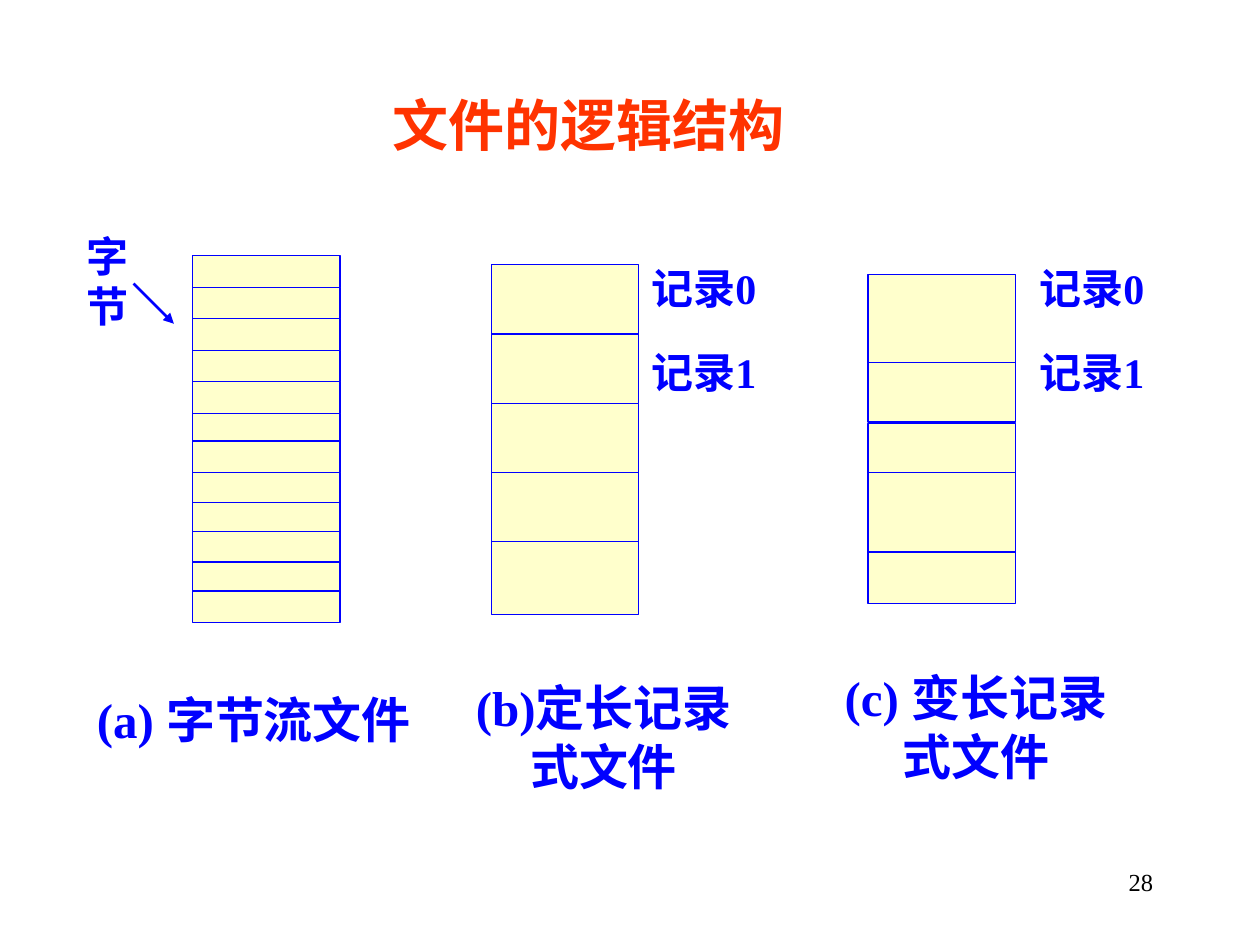
import pptx
import pptx.dml.color
import pptx.enum.shapes
import pptx.enum.text
import pptx.oxml
import pptx.oxml.ns
import pptx.util

COLORS = {"ink": "0000FF", "cell": "FFFFCC", "title": "FF3300", "number": "000000"}
COLUMNS, ROWS = 100, 75
ALIGN = pptx.enum.text.PP_ALIGN


def color(name):
    return pptx.dml.color.RGBColor.from_string(COLORS[name])


class Page:
    """Style and current slide; all lengths are grid columns and rows."""

    font_name = "Times New Roman"
    cell_width = 11.7

    def __init__(self, deck):
        self.column = deck.slide_width / COLUMNS
        self.row = deck.slide_height / ROWS
        self.shapes = deck.slides.add_slide(deck.slide_layouts[6]).shapes

    def place(self, *lengths):
        """Turn alternating columns and rows into slide units."""
        units = (self.column, self.row) * 2
        return [round(length * unit) for length, unit in zip(lengths, units)]

    def text(self, words, area, size, ink="ink", align=ALIGN.LEFT, bold=True, inset=True, grow=True):
        box = self.shapes.add_textbox(*self.place(*area))
        frame = box.text_frame
        fit = pptx.enum.text.MSO_AUTO_SIZE
        margin_x, margin_y = self.place(1, 0.5) if inset else (0, 0)
        frame_format = {
            "word_wrap": True,
            "auto_size": fit.SHAPE_TO_FIT_TEXT if grow else fit.NONE,
            "margin_left": margin_x, "margin_right": margin_x,
            "margin_top": margin_y, "margin_bottom": margin_y,
        }
        for name, value in frame_format.items():
            setattr(frame, name, value)
        para = frame.paragraphs[0]
        para.alignment = align
        span = para.add_run()
        span.text = words
        font_format = {"name": self.font_name, "size": pptx.util.Pt(size), "bold": bold}
        for name, value in font_format.items():
            setattr(span.font, name, value)
        span.font.color.rgb = color(ink)

    def stack(self, left, tops, heights):
        """Draw one file as a column of cells."""
        for top, height in zip(tops, heights):
            cell = self.shapes.add_shape(
                pptx.enum.shapes.MSO_SHAPE.RECTANGLE,
                *self.place(left, top, self.cell_width, height))
            cell.shadow.inherit = False
            cell.fill.solid()
            cell.fill.fore_color.rgb = color("cell")
            cell.line.color.rgb = color("ink")
            cell.line.width = pptx.util.Pt(0.75)

    def arrow(self, start, end):
        connector = self.shapes.add_connector(
            pptx.enum.shapes.MSO_CONNECTOR.STRAIGHT, *self.place(*start, *end))
        connector.line.color.rgb = color("ink")
        connector.line.width = pptx.util.Pt(1.5)
        head = pptx.oxml.parse_xml(
            f'<a:tailEnd {pptx.oxml.ns.nsdecls("a")} type="triangle"/>')
        connector.line._get_or_add_ln().append(head)
        connector._element.spPr.append(
            pptx.oxml.parse_xml(f'<a:effectLst {pptx.oxml.ns.nsdecls("a")}/>'))


def main():
    deck = pptx.Presentation()
    deck.slide_width = pptx.util.Inches(10)
    deck.slide_height = pptx.util.Inches(7.5)
    page = Page(deck)

    page.text("文件的逻辑结构", (21.7, 6.7, 50, 6.4), 32, "title", ALIGN.CENTER)

    byte_tops = [20.3, 22.8, 25.3, 27.8, 30.3, 32.8, 35, 37.5, 39.9, 42.2, 44.6, 46.9]
    page.stack(15.3, byte_tops, [2.5] * len(byte_tops))
    fixed_tops = [21, 26.5, 32, 37.5, 43]
    page.stack(39, fixed_tops, [5.8] * len(fixed_tops))
    page.stack(68.9, [21.8, 28.8, 33.6, 37.5, 43.8], [7.5, 4.7, 4.2, 6.7, 4.1])

    page.text("字节", (5.9, 17.8, 5, 9), 24)
    page.arrow((10.6, 22.5), (13.8, 25.7))
    for left in (51.7, 82.5):
        for index, (top, width) in enumerate([(20.8, 10), (27.5, 9.2)]):
            page.text(f"记录{index}", (left, top, width, 4), 24, inset=False)

    captions = [
        ("(a) 字节流文件", 6.7, 54.2, 27.5, ALIGN.LEFT),
        ("(b)定长记录式文件", 35, 53.3, 25.8, ALIGN.CENTER),
        ("(c) 变长记录式文件", 65.8, 52.5, 23.3, ALIGN.CENTER),
    ]
    for words, left, top, width, align in captions:
        page.text(words, (left, top, width, 10.4), 28, align=align)

    page.text("28", (71.7, 68.3, 20.8, 5), 14, "number", ALIGN.RIGHT, bold=False, grow=False)
    deck.save("out.pptx")


if __name__ == "__main__":
    main()
